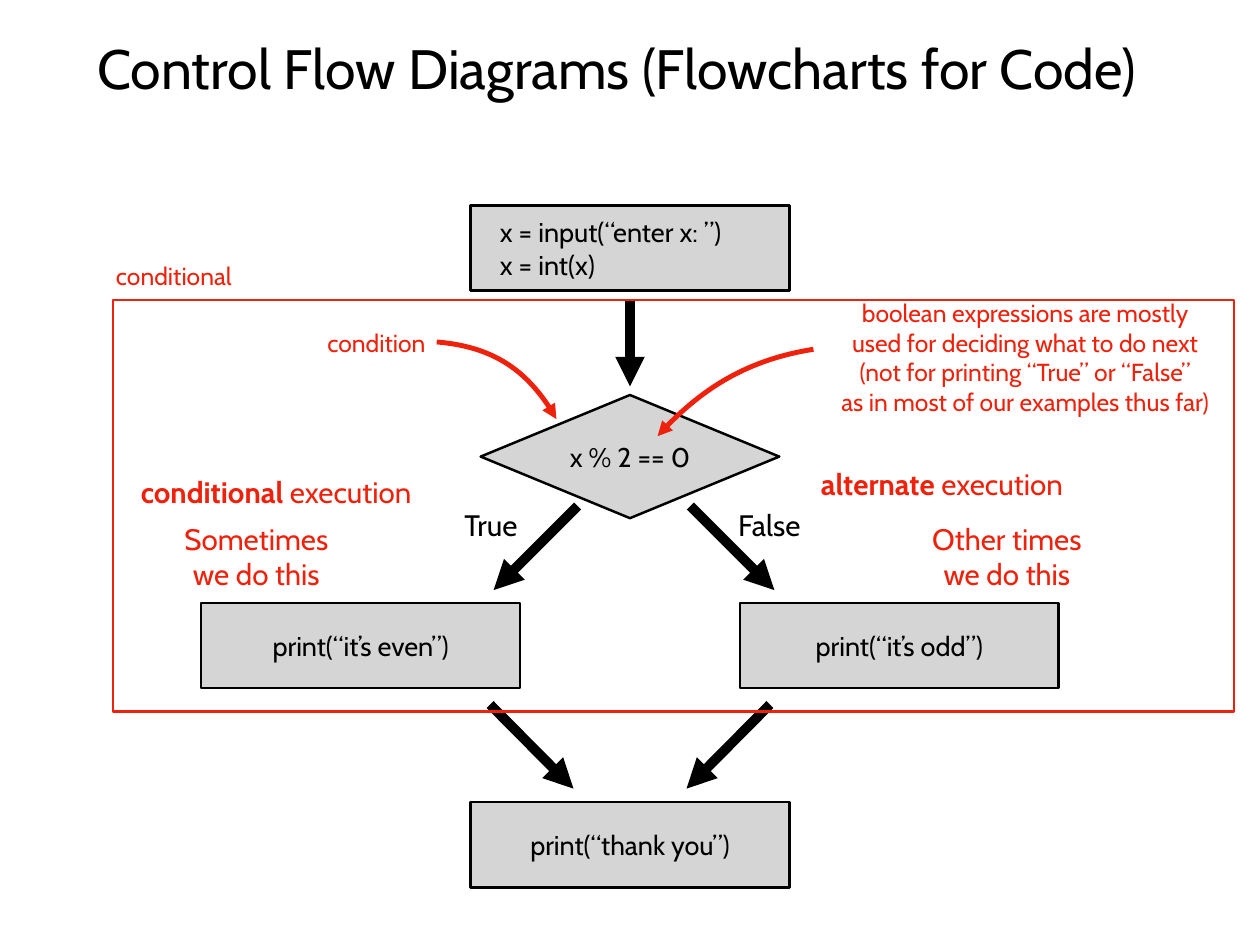
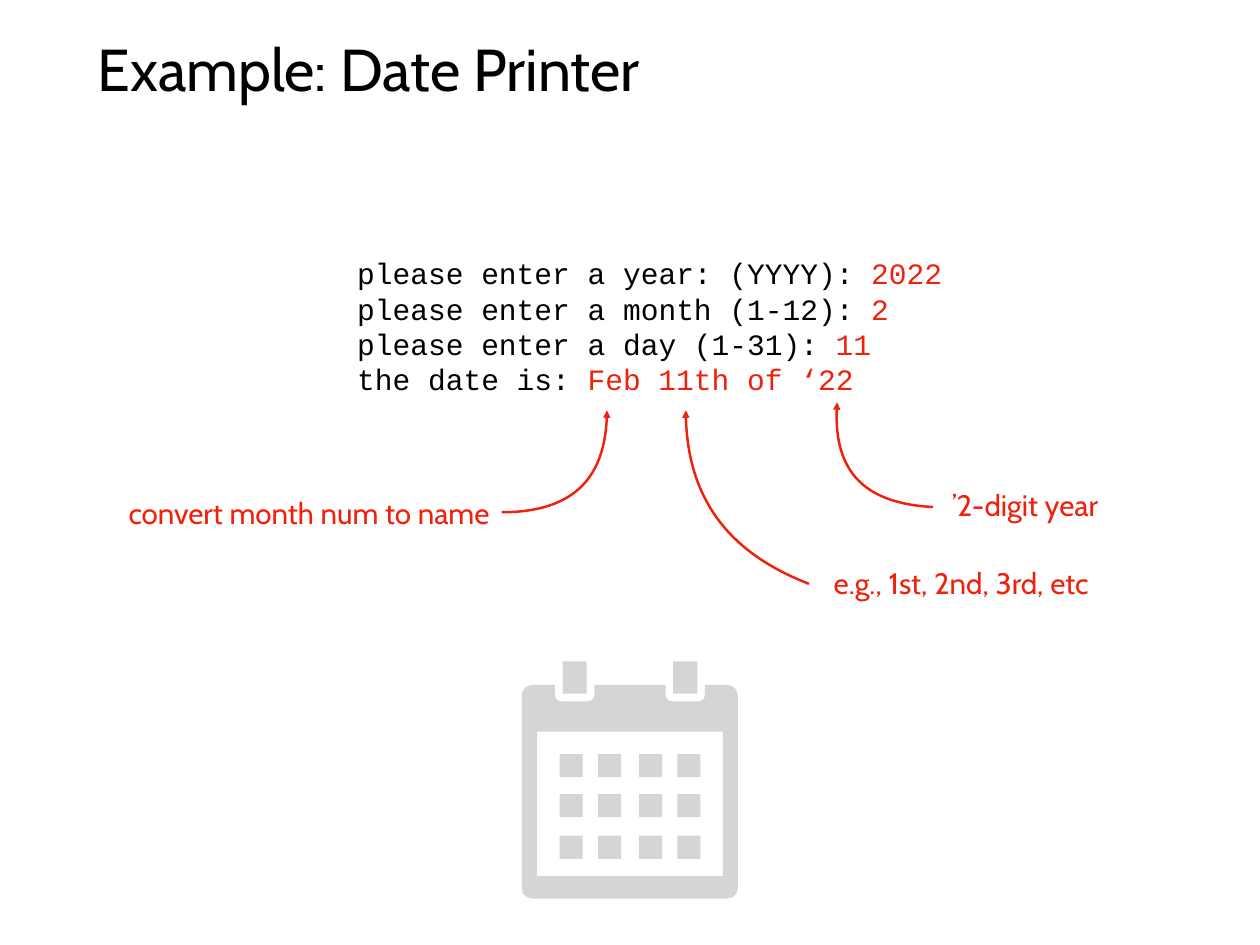
from math import cos, radians, sin

from lxml.etree import SubElement
from pptx import Presentation
from pptx.dml.color import RGBColor
from pptx.enum.shapes import MSO_CONNECTOR, MSO_SHAPE
from pptx.enum.text import MSO_ANCHOR, PP_ALIGN
from pptx.oxml.ns import qn
from pptx.util import Cm, Pt

COLORS = {"ink": "000000", "accent": "EE220C", "panel": "D6D5D5"}
BODY_FONT, CODE_FONT = "Cabin", "Courier New"
INSET = 0.16
TITLE_AREA = (2.64, 0.69, 30.84, 2.51)

CENTER = 18.06
BRANCH_SHIFT = 7.72
STEP_SIZE = (9.14, 2.44)
TEST_SIZE = (8.56, 3.53)
STEPS = [
    (0, 5.89, ["x = input(“enter x: ”)", "x = int(x)"]),
    (-BRANCH_SHIFT, 17.28, ["print(“it’s even”)"]),
    (BRANCH_SHIFT, 17.28, ["print(“it’s odd”)"]),
    (0, 22.99, ["print(“thank you”)"]),
]
TEST = (11.32, ["x % 2 == 0"])
FLOW_ARROWS = [
    ((18.06, 8.56), (18.06, 11.07)),
    ((16.56, 14.5), (14.15, 16.91)),
    ((19.79, 14.5), (22.2, 16.91)),
    ((14.05, 20.19), (16.44, 22.6)),
    ((22.07, 20.19), (19.68, 22.6)),
]
CONDITIONAL_FRAME = (3.24, 8.6, 32.13, 11.79)
BRANCH_LABELS = [
    ((13.02, 14.4, 2.11, 1.3), ["True"]),
    ((20.9, 14.4, 2.31, 1.3), ["False"]),
]
EXECUTION_NOTES = [
    ((4.99, 14.78, 4.72, 2.31), ["Sometimes\nwe do this"]),
    ((26.35, 14.78, 5.03, 2.31), ["Other times\nwe do this"]),
    ((3.33, 13.44, 9.17, 1.3), [[("conditional", "bold"), (" execution", None)]]),
    ((22.82, 13.21, 8.36, 1.3), [[("alternate", "bold"), (" execution", None)]]),
]
TERM_NOTES = [
    ((23.27, 8.39, 12.24, 3.68), [
        "boolean expressions are mostly\n"
        "used for deciding what to do next\n"
        "(not for printing “True” or “False”\n"
        "as in most of our examples thus far)",
    ]),
    ((9.09, 9.25, 3.4, 1.12), ["condition"]),
    ((2.99, 7.34, 3.99, 1.12), ["conditional"]),
]
TERM_CURVES = [
    [(12.52, 9.8), (14.07, 9.93), (15.21, 10.67), (15.95, 12.01)],
    [(23.32, 10.01), (21.56, 10.29), (20.07, 11.13), (18.85, 12.5)],
]

SESSION_AREA = (10.08, 7.17, 17.8, 4.34)
SESSION = [
    ("please enter a year: (YYYY): ", "2022"),
    ("please enter a month (1-12): ", "2"),
    ("please enter a day (1-31): ", "11"),
    ("the date is: ", "Feb 11th of ‘22"),
]
DATE_NOTES = [
    ((2.98, 14.05, 11.76, 1.3), ["convert month num to name"]),
    ((23.16, 16.05, 8.79, 1.3), ["e.g., 1st, 2nd, 3rd, etc"]),
    ((26.92, 13.82, 4.93, 1.3), ["’2-digit year"]),
]
DATE_CURVES = [
    [(14.38, 14.68), (16.38, 14.68), (17.4, 13.69), (17.4, 11.76)],
    [(23.19, 16.73), (20.83, 15.82), (19.66, 14.15), (19.66, 11.76)],
    [(26.75, 14.53), (24.77, 14.43), (23.85, 13.44), (24, 11.53)],
]
CALENDAR_BODY = (14.96, 19.63, 6.19, 6.12)
CALENDAR_PAGE = (15.39, 20.97, 5.33, 4.14)
CALENDAR_RADIUS = 0.29
RING_LEFTS, RING_TOP, RING_SIZE = (16.13, 19.3), 18.95, (0.69, 0.93)
NOTCH_GAP, NOTCH_RADIUS = 0.22, 0.18
DAY_LEFTS, DAY_TOPS, DAY_SIZE = (16.04, 17.15, 18.32, 19.42), (21.61, 22.76, 23.95), 0.66


def rgb(name):
    return RGBColor.from_string(COLORS[name])


def write(frame, lines, size, color="ink", align=PP_ALIGN.CENTER, font=BODY_FONT):
    frame.word_wrap = True
    frame.vertical_anchor = MSO_ANCHOR.MIDDLE
    frame.margin_left = frame.margin_right = Cm(INSET)
    frame.margin_top = frame.margin_bottom = Cm(INSET)
    for index, line in enumerate(lines):
        paragraph = frame.add_paragraph() if index else frame.paragraphs[0]
        paragraph.alignment = align
        paragraph.font.name = font
        paragraph.font.size = Pt(size)
        paragraph.font.color.rgb = rgb(color)
        if isinstance(line, str):
            paragraph.text = line
            continue
        for words, emphasis in line:
            run = paragraph.add_run()
            run.text = words
            if emphasis == "bold":
                run.font.bold = True
            elif emphasis:
                run.font.color.rgb = rgb(emphasis)


def add_text(slide, area, lines, size, **style):
    write(slide.shapes.add_textbox(*map(Cm, area)).text_frame, lines, size, **style)


def add_notes(slide, notes, size, color="accent"):
    for area, lines in notes:
        add_text(slide, area, lines, size, color=color)


def add_block(slide, area, line, fill=None, kind=MSO_SHAPE.RECTANGLE):
    block = slide.shapes.add_shape(kind, *map(Cm, area))
    block.shadow.inherit = False
    if fill:
        block.fill.solid()
        block.fill.fore_color.rgb = rgb(fill)
    else:
        block.fill.background()
    block.line.color.rgb = rgb(line)
    block.line.width = Pt(2)
    return block


def point_line(stroke, color, width):
    stroke.line.color.rgb = rgb(color)
    stroke.line.width = Pt(width)
    SubElement(stroke.line._get_or_add_ln(), qn("a:tailEnd"), type="triangle")


def add_arrow(slide, start, end):
    arrow = slide.shapes.add_connector(MSO_CONNECTOR.STRAIGHT, *map(Cm, start + end))
    point_line(arrow, "ink", 8)
    SubElement(arrow._element.spPr, qn("a:effectLst"))


def add_curve(slide, points, width):
    start, *rest = [(Cm(x), Cm(y)) for x, y in points]
    builder = slide.shapes.build_freeform(*start)
    builder.add_line_segments(rest, close=False)
    curve = builder.convert_to_shape()
    curve.shadow.inherit = False
    curve.fill.background()
    point_line(curve, "accent", width)
    segments = list(curve._element.iter(qn("a:lnTo")))
    outline = segments[0].getparent()
    bezier = SubElement(outline, qn("a:cubicBezTo"))
    for segment in segments:
        bezier.append(segment[0])
        outline.remove(segment)


def add_titled_slide(deck, title, size):
    slide = deck.slides.add_slide(deck.slide_layouts[6])
    add_text(slide, TITLE_AREA, [title], size, align=PP_ALIGN.LEFT)
    return slide


def add_flowchart(deck):
    slide = add_titled_slide(deck, "Control Flow Diagrams (Flowcharts for Code)", 45)
    width, height = STEP_SIZE
    for shift, top, lines in STEPS:
        step = add_block(slide, (CENTER + shift - width / 2, top, width, height), "ink", "panel")
        several = len(lines) > 1
        write(step.text_frame, lines, 22, align=PP_ALIGN.LEFT if several else PP_ALIGN.CENTER)
        if several:
            step.text_frame.margin_left = Cm(0.84)
    test_top, test_lines = TEST
    test_area = (CENTER - TEST_SIZE[0] / 2, test_top, *TEST_SIZE)
    test = add_block(slide, test_area, "ink", "panel", MSO_SHAPE.DIAMOND)
    write(test.text_frame, test_lines, 22)
    for start, end in FLOW_ARROWS:
        add_arrow(slide, start, end)
    add_notes(slide, BRANCH_LABELS, 24, "ink")
    add_notes(slide, EXECUTION_NOTES, 24)
    add_notes(slide, TERM_NOTES, 20)
    for points in TERM_CURVES:
        add_curve(slide, points, 4)
    add_block(slide, CONDITIONAL_FRAME, "accent")


def rectangle(left, top, width, height):
    right, bottom = left + width, top + height
    return [(left, top), (right, top), (right, bottom), (left, bottom)]


def corner(x, y, radius, start, turn=30):
    angles = [radians(start + turn * step) for step in range(4)]
    return [(x + radius * cos(angle), y + radius * sin(angle)) for angle in angles]


def calendar_outline():
    left, top, width, height = CALENDAR_BODY
    radius = CALENDAR_RADIUS
    near, far = left + radius, left + width - radius
    high, low = top + radius, top + height - radius
    points = corner(near, high, radius, 180)
    notch_base = RING_TOP + RING_SIZE[1] + NOTCH_GAP - NOTCH_RADIUS
    for ring_left in RING_LEFTS:
        start = ring_left - NOTCH_GAP
        end = ring_left + RING_SIZE[0] + NOTCH_GAP
        points.append((start, top))
        points += corner(start + NOTCH_RADIUS, notch_base, NOTCH_RADIUS, 180, -30)
        points += corner(end - NOTCH_RADIUS, notch_base, NOTCH_RADIUS, 90, -30)
        points.append((end, top))
    points += corner(far, high, radius, 270)
    points += corner(far, low, radius, 0)
    return points + corner(near, low, radius, 90)


def add_calendar(slide):
    contours = [calendar_outline(), rectangle(*CALENDAR_PAGE)]
    contours += [rectangle(left, RING_TOP, *RING_SIZE) for left in RING_LEFTS]
    contours += [
        rectangle(left, top, DAY_SIZE, DAY_SIZE) for top in DAY_TOPS for left in DAY_LEFTS
    ]
    builder = None
    for contour in contours:
        start, *rest = [(Cm(x), Cm(y)) for x, y in contour]
        if builder:
            builder.move_to(*start)
        else:
            builder = slide.shapes.build_freeform(*start)
        builder.add_line_segments(rest, close=True)
    calendar = builder.convert_to_shape()
    calendar.shadow.inherit = False
    calendar.fill.solid()
    calendar.fill.fore_color.rgb = rgb("panel")
    calendar.line.fill.background()


def add_date_printer(deck):
    slide = add_titled_slide(deck, "Example: Date Printer", 48)
    session = [[(prompt, None), (answer, "accent")] for prompt, answer in SESSION]
    add_text(slide, SESSION_AREA, session, 24, align=PP_ALIGN.LEFT, font=CODE_FONT)
    add_notes(slide, DATE_NOTES, 24)
    for points in DATE_CURVES:
        add_curve(slide, points, 2)
    add_calendar(slide)


def main():
    deck = Presentation()
    deck.slide_width, deck.slide_height = Cm(36.12), Cm(27.08)
    add_flowchart(deck)
    add_date_printer(deck)
    deck.save("out.pptx")


if __name__ == "__main__":
    main()
